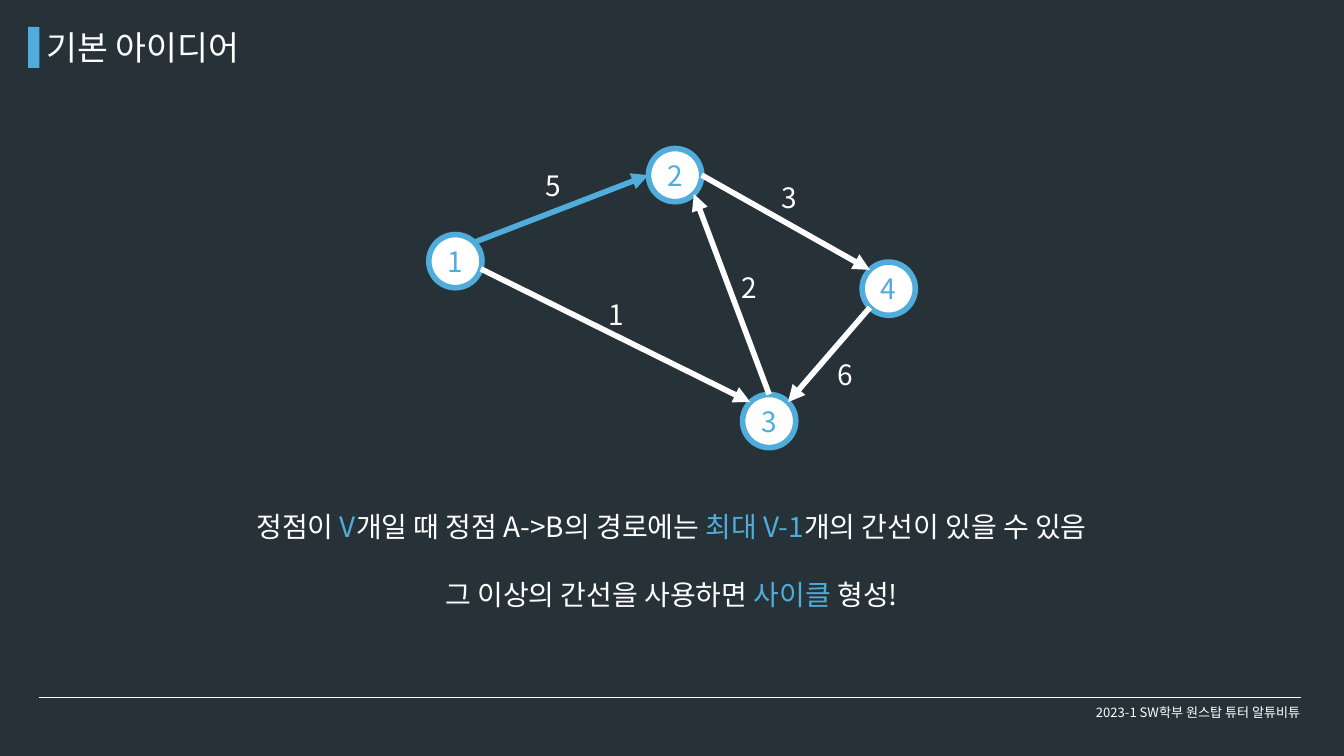
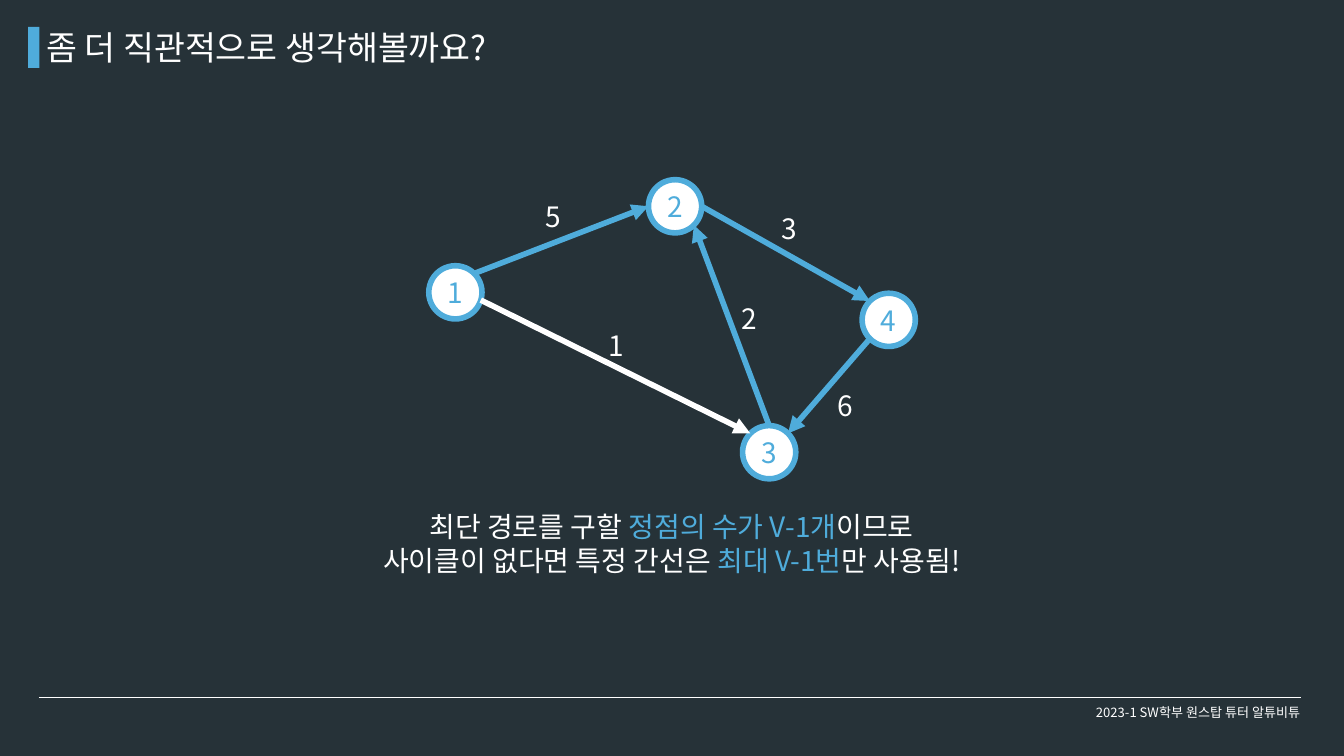
from math import cos, radians, sin
from lxml.etree import SubElement
from pptx import Presentation
from pptx.dml.color import RGBColor
from pptx.enum.shapes import MSO_CONNECTOR, MSO_SHAPE
from pptx.enum.text import MSO_ANCHOR, MSO_AUTO_SIZE, PP_ALIGN
from pptx.oxml.ns import qn
from pptx.util import Pt

THEME = {
    "font": "Noto Sans CJK KR",
    "background": RGBColor.from_string("263238"),
    "white": RGBColor.from_string("FFFFFF"),
    "accent": RGBColor.from_string("4FACDB"),
    "title": Pt(36),
    "body": Pt(30),
    "footer": Pt(14),
    "graph_line": Pt(6),
    "rule": Pt(0.75),
}
FOOTER = "2023-1 SW학부 원스탑 튜터 알튜비튜"
HEADING_FRAME = {"word_wrap": True, "vertical_anchor": MSO_ANCHOR.TOP,
                 "auto_size": MSO_AUTO_SIZE.SHAPE_TO_FIT_TEXT}
CAPTION_FRAME = HEADING_FRAME
WEIGHT_FRAME = HEADING_FRAME | {"word_wrap": False}
MIDDLE_FRAME = {"word_wrap": True, "vertical_anchor": MSO_ANCHOR.MIDDLE,
                "auto_size": MSO_AUTO_SIZE.NONE}

# Vertex number: centre of its circle
RADIUS = 28.5
VERTICES = {1: (487.9, 279.8), 2: (723.3, 187.6), 3: (824.1, 451.1), 4: (952.2, 309.3)}
# From, to, angles (clockwise degrees) where the arrow leaves and lands, weight and its place
EDGES = [
    (1, 2, -45, 180, "5", (577.4, 177.1)),
    (1, 3, 17, 225, "1", (644.4, 315.4)),
    (3, 2, -90, 45, "2", (787.7, 286.6)),
    (2, 4, 0, 225, "3", (830.2, 190.1)),
    (4, 3, 135, -45, "6", (890.6, 379.4)),
]

# Caption lines are lists of (text, colour)
SLIDES = [
    {
        "title": "기본 아이디어",
        "graph_shift": 0,
        "used_edges": [(1, 2)],
        "caption_top": 542.2,
        "caption_height": 116.6,
        "caption_gap": Pt(36.5),
        "caption": [
            [("정점이 ", "white"), ("V", "accent"), ("개일 때 정점 A->B의 경로에는 ", "white"),
             ("최대 V-1", "accent"), ("개의 간선이 있을 수 있음", "white")],
            [("그 이상의 간선을 사용하면 ", "white"), ("사이클", "accent"), (" 형성!", "white")],
        ],
    },
    {
        "title": "좀 더 직관적으로 생각해볼까요?",
        "graph_shift": 33.4,
        "used_edges": [(1, 2), (3, 2), (2, 4), (4, 3)],
        "caption_top": 542.9,
        "caption_height": 79.9,
        "caption_gap": Pt(0),
        "caption": [
            [("최단 경로를 구할 ", "white"), ("정점의 수가 V-1개", "accent"), ("이므로", "white")],
            [("사이클이 없다면 특정 간선은 ", "white"), ("최대 V-1번", "accent"),
             ("만 사용됨!", "white")],
        ],
    },
]


def write(shape, lines, size, align, frame_format, gap=Pt(0)):
    """Fill a shape with lines of (text, colour) runs, with gap between lines."""
    frame = shape.text_frame
    for attribute, value in frame_format.items():
        setattr(frame, attribute, value)
    for index, line in enumerate(lines):
        paragraph = frame.add_paragraph() if index else frame.paragraphs[0]
        paragraph.alignment = align
        if index:
            paragraph.space_before = gap
        for text, colour in line:
            run = paragraph.add_run()
            run.text = text
            for attribute, value in {"name": THEME["font"], "size": THEME[size]}.items():
                setattr(run.font, attribute, value)
            run.font.color.rgb = THEME[colour]
            SubElement(run.font._element, qn("a:ea"), typeface=THEME["font"])


def draw_line(slide, start, end, colour, width, arrow=False):
    connector = slide.shapes.add_connector(
        MSO_CONNECTOR.STRAIGHT, *(Pt(value) for value in (*start, *end)))
    connector.line.color.rgb = THEME[colour]
    connector.line.width = THEME[width]
    if arrow:
        SubElement(connector.line._get_or_add_ln(), qn("a:tailEnd"), type="triangle")
    SubElement(connector._element.spPr, qn("a:effectLst"))


prs = Presentation()
prs.slide_width, prs.slide_height = Pt(1440), Pt(810)
prs.slide_master.background.fill.solid()
prs.slide_master.background.fill.fore_color.rgb = THEME["background"]
title_only = prs.slide_layouts[5]

for content in SLIDES:
    slide = prs.slides.add_slide(title_only)
    shapes = slide.shapes

    draw_line(slide, (41.8, 747.4), (1393.9, 747.4), "white", "rule")
    title_bar = shapes.add_shape(MSO_SHAPE.RECTANGLE, Pt(30.2), Pt(28.8), Pt(12.2), Pt(43.9))
    title_bar.shadow.inherit = False
    title_bar.fill.solid()
    title_bar.fill.fore_color.rgb = THEME["accent"]
    title_bar.line.fill.background()

    heading = shapes.title
    place = {"left": Pt(42.5), "top": Pt(25.2), "width": Pt(684), "height": Pt(51.1)}
    for attribute, value in place.items():
        setattr(heading, attribute, value)
    write(heading, [[(content["title"], "white")]], "title", PP_ALIGN.LEFT, HEADING_FRAME)

    caption = shapes.add_textbox(Pt(191.5), Pt(content["caption_top"]),
                                 Pt(1056.2), Pt(content["caption_height"]))
    write(caption, content["caption"], "body", PP_ALIGN.CENTER, CAPTION_FRAME,
          content["caption_gap"])

    shift = content["graph_shift"]
    for number, (x, y) in VERTICES.items():
        vertex = shapes.add_shape(MSO_SHAPE.OVAL, Pt(x - RADIUS), Pt(y - RADIUS + shift),
                                  Pt(2 * RADIUS), Pt(2 * RADIUS))
        vertex.shadow.inherit = False
        vertex.fill.solid()
        vertex.fill.fore_color.rgb = THEME["white"]
        vertex.line.color.rgb = THEME["accent"]
        vertex.line.width = THEME["graph_line"]
        write(vertex, [[(str(number), "accent")]], "body", PP_ALIGN.CENTER, MIDDLE_FRAME)

    for source, target, leave, land, weight, (weight_x, weight_y) in EDGES:
        start, end = [
            (VERTICES[number][0] + RADIUS * cos(radians(angle)),
             VERTICES[number][1] + RADIUS * sin(radians(angle)) + shift)
            for number, angle in ((source, leave), (target, land))
        ]
        colour = "accent" if (source, target) in content["used_edges"] else "white"
        draw_line(slide, start, end, colour, "graph_line", arrow=True)
        weight_label = shapes.add_textbox(Pt(weight_x), Pt(weight_y + shift), Pt(33.1), Pt(43.9))
        write(weight_label, [[(weight, "white")]], "body", PP_ALIGN.LEFT, WEIGHT_FRAME)

    footer = shapes.add_textbox(Pt(1139.8), Pt(742.3), Pt(288), Pt(41))
    write(footer, [[(FOOTER, "white")]], "footer", PP_ALIGN.CENTER, MIDDLE_FRAME)

prs.save("out.pptx")
